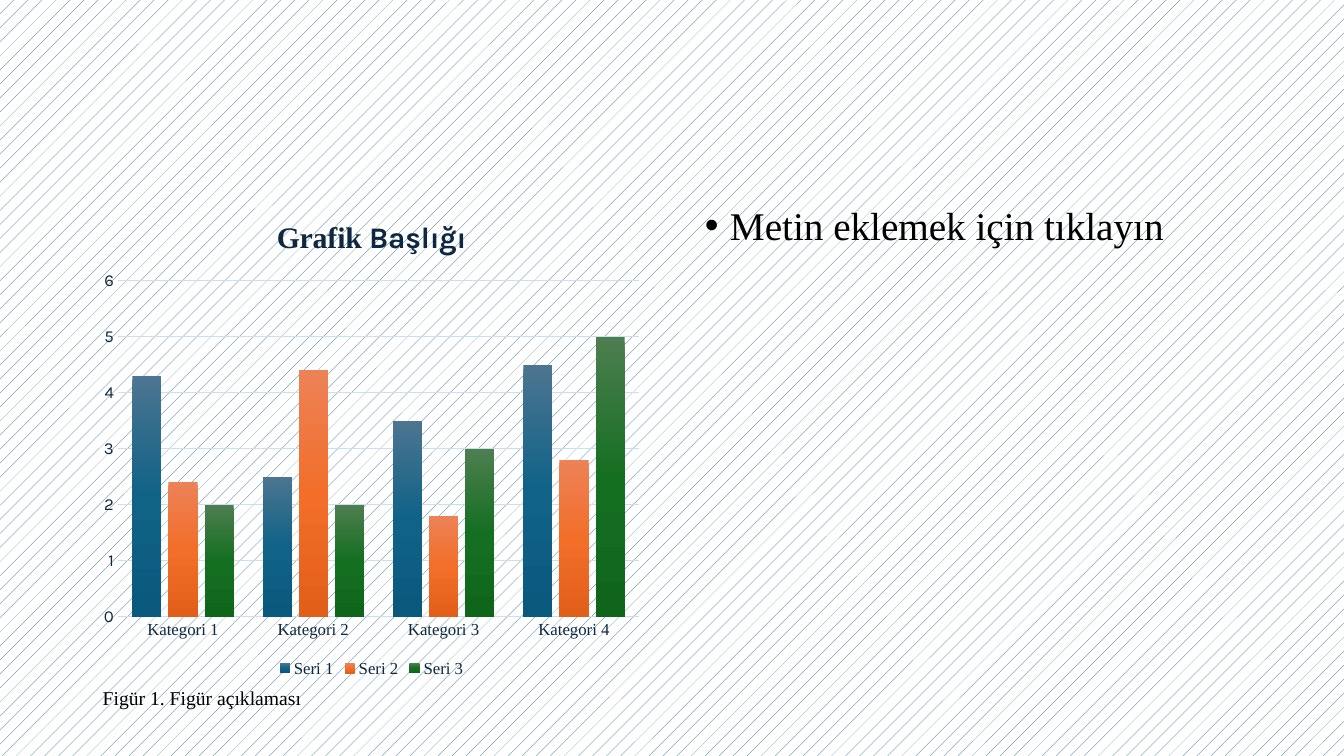
"""Build a slide with a clustered column chart, its caption and a bullet list."""
from copy import deepcopy
from dataclasses import dataclass

from pptx import Presentation
from pptx.chart.chart import Chart
from pptx.chart.data import CategoryChartData
from pptx.dml.color import RGBColor
from pptx.enum.chart import XL_CHART_TYPE, XL_LEGEND_POSITION, XL_TICK_MARK
from pptx.enum.dml import MSO_PATTERN
from pptx.enum.text import MSO_AUTO_SIZE
from pptx.oxml.ns import qn
from pptx.slide import Slide
from pptx.text.text import Font
from pptx.util import Inches, Pt

COLUMNS = XL_CHART_TYPE.COLUMN_CLUSTERED
BOTTOM = XL_LEGEND_POSITION.BOTTOM
NO_TICK = XL_TICK_MARK.NONE
DOTS = MSO_PATTERN.PERCENT_5
FIT_SHAPE = MSO_AUTO_SIZE.SHAPE_TO_FIT_TEXT
NO_FIT = MSO_AUTO_SIZE.NONE


@dataclass(frozen=True)
class Theme:
    serif: str = "Times New Roman"
    sans: str = "Karla"
    text: str = "000000"
    chart_text: str = "0E2841"
    grid: str = "CADFF4"
    pattern: str = "156082"
    paper: str = "FFFFFF"
    list_size: float = 28
    title_size: float = 21.3
    caption_size: float = 14
    label_size: float = 12
    line_width: float = 0.75


@dataclass(frozen=True)
class Series:
    name: str
    values: tuple[float, ...]
    gradient: tuple[str, str, str]


THEME = Theme()
LEFT, LIST_LEFT, TOP = Inches(0.92), Inches(6.89), Inches(2)
WIDTH, HEIGHT = Inches(5.53), Inches(4.76)
CATEGORIES = [f"Kategori {number}" for number in range(1, 5)]
SERIES = [
    Series("Seri 1", (4.3, 2.5, 3.5, 4.5), ("4C7591", "106287", "09597D")),
    Series("Seri 2", (2.4, 4.4, 1.8, 2.8), ("ED8257", "F26E29", "E25F1A")),
    Series("Seri 3", (2, 2, 3, 5), ("4D7E50", "156F21", "0F661B")),
]


def style_font(font: Font, name: str, size: float, color: str, bold: bool = False) -> None:
    font.name = name
    font.size = Pt(size)
    font.bold = bold
    font.color.rgb = RGBColor.from_string(color)


def paint_background(slide: Slide) -> None:
    fill = slide.background.fill
    fill.patterned()
    fill.pattern = DOTS
    fill.fore_color.rgb = RGBColor.from_string(THEME.pattern)
    fill.back_color.rgb = RGBColor.from_string(THEME.paper)


def add_columns(slide: Slide) -> None:
    data = CategoryChartData()
    data.categories = CATEGORIES
    for series in SERIES:
        data.add_series(series.name, series.values)
    chart = slide.shapes.add_chart(COLUMNS, LEFT, TOP, WIDTH, HEIGHT, data).chart
    style_font(chart.font, THEME.sans, 10, THEME.text)

    heading = chart.chart_title.text_frame.paragraphs[0]
    for words, name in (("Grafik ", THEME.serif), ("Başlığı", THEME.sans)):
        run = heading.add_run()
        run.text = words
        style_font(run.font, name, THEME.title_size, THEME.chart_text, bold=True)
    chart.chart_title.include_in_layout = False

    chart.has_legend = True
    chart.legend.position = BOTTOM
    chart.legend.include_in_layout = False
    style_font(chart.legend.font, THEME.serif, THEME.label_size, THEME.chart_text)
    style_axes(chart)
    style_columns(chart)


def style_axes(chart: Chart) -> None:
    categories, values = chart.category_axis, chart.value_axis
    for axis, name in ((categories, THEME.serif), (values, THEME.sans)):
        axis.major_tick_mark = axis.minor_tick_mark = NO_TICK
        style_font(axis.tick_labels.font, name, THEME.label_size, THEME.chart_text)
    values.minimum_scale, values.maximum_scale, values.major_unit = 0, 6, 1
    values.format.line.fill.background()
    for line in (categories.format.line, values.major_gridlines.format.line):
        line.width = Pt(THEME.line_width)
        line.color.rgb = RGBColor.from_string(THEME.grid)


def style_columns(chart: Chart) -> None:
    plot = chart.plots[0]
    plot.vary_by_categories = False
    plot.gap_width, plot.overlap = 100, -24
    for column, series in zip(plot.series, SERIES):
        fill = column.format.fill
        fill.gradient()
        fill.gradient_angle = 270
        stops = column.format.fill.gradient_stops
        stop_list = next(column._element.iter(qn("a:gsLst")))
        stop_list.append(deepcopy(stop_list[-1]))
        stops = column.format.fill.gradient_stops
        for stop, position, color in zip(stops, (0, 0.5, 1), series.gradient):
            stop.position = position
            stop.color.rgb = RGBColor.from_string(color)


def fill_list(slide: Slide) -> None:
    body = slide.placeholders[1]
    body.left, body.top, body.width, body.height = LIST_LEFT, TOP, WIDTH, HEIGHT
    body.text_frame.auto_size = NO_FIT
    item = body.text_frame.paragraphs[0]
    properties = item._p.get_or_add_pPr()
    properties.set("marL", str(Inches(0.25)))
    properties.set("indent", str(-Inches(0.25)))
    item.line_spacing = 0.9
    item.space_before = Pt(0)
    run = item.add_run()
    run.text = "Metin eklemek için tıklayın"
    style_font(run.font, THEME.serif, THEME.list_size, THEME.text)


def add_caption(slide: Slide) -> None:
    caption = slide.shapes.add_textbox(LEFT, TOP + HEIGHT, Inches(2.24), Inches(0.34))
    caption.text_frame.word_wrap = False
    caption.text_frame.auto_size = FIT_SHAPE
    run = caption.text_frame.paragraphs[0].add_run()
    run.text = "Figür 1. Figür açıklaması"
    style_font(run.font, THEME.serif, THEME.caption_size, THEME.text)


def main() -> None:
    deck = Presentation()
    deck.slide_width, deck.slide_height = Inches(13.33), Inches(7.5)
    slide = deck.slides.add_slide(deck.slide_layouts[1])
    empty_title = slide.shapes.title.element
    empty_title.getparent().remove(empty_title)
    paint_background(slide)
    add_columns(slide)
    fill_list(slide)
    add_caption(slide)
    deck.save("out.pptx")


if __name__ == "__main__":
    main()
